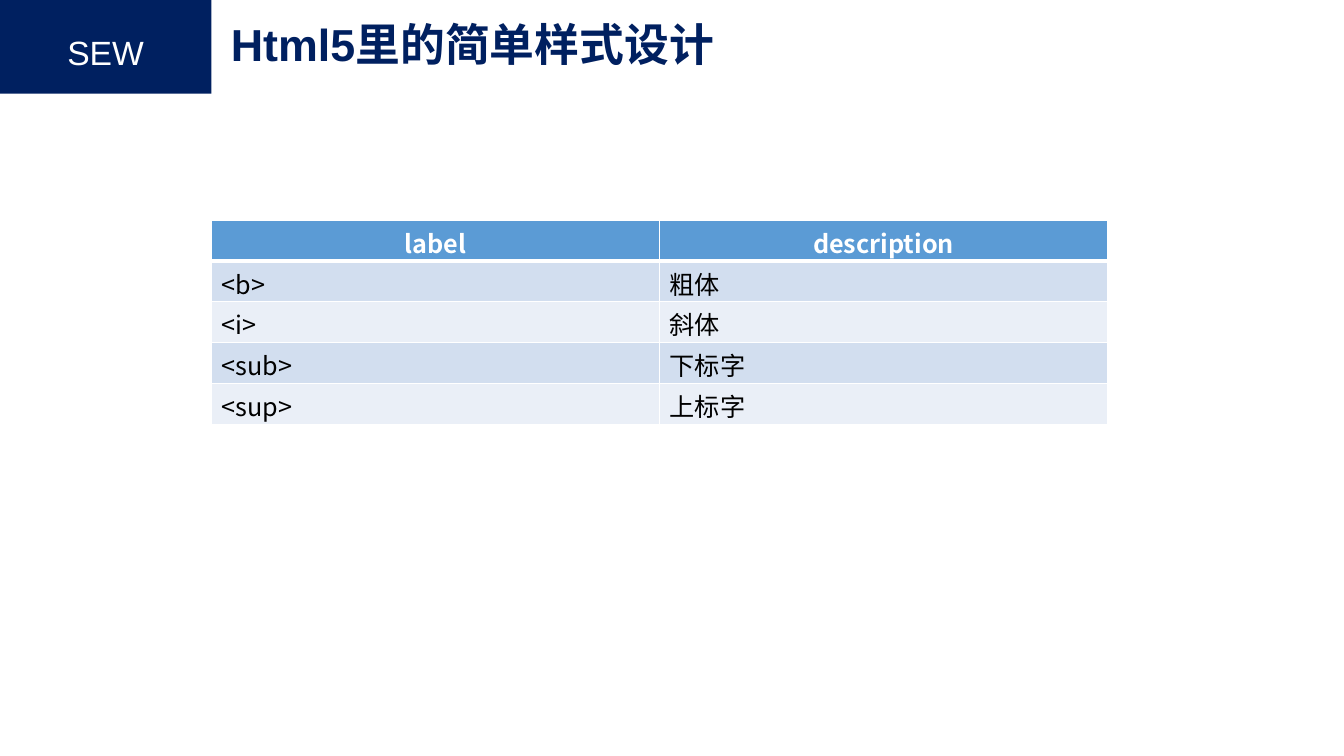
from dataclasses import dataclass

from lxml.etree import SubElement
from pptx import Presentation
from pptx.dml.color import RGBColor
from pptx.enum.shapes import MSO_SHAPE as Shape
from pptx.enum.text import MSO_ANCHOR as Anchor
from pptx.enum.text import MSO_AUTO_SIZE as AutoSize
from pptx.enum.text import PP_ALIGN as Align
from pptx.oxml.ns import qn
from pptx.util import Pt


@dataclass(frozen=True)
class Theme:
    navy: str = "002060"
    white: str = "FFFFFF"
    black: str = "000000"
    header: str = "5B9BD5"
    bands: tuple = ("D2DEEF", "EAEFF7")
    latin: str = "Arial"
    cjk: str = "Noto Sans CJK SC"
    title_size: int = 32
    badge_size: int = 24
    table_size: int = 18


THEME = Theme()
ROWS = [
    ("label", "description"),
    ("<b>", "粗体"),
    ("<i>", "斜体"),
    ("<sub>", "下标字"),
    ("<sup>", "上标字"),
]


def apply(target, values):
    for name, value in values.items():
        setattr(target, name, value)


def place(box, left, top, width, height):
    apply(box, {"left": Pt(left), "top": Pt(top), "width": Pt(width), "height": Pt(height)})


def write(frame, text, size, color, font, bold=False, align=Align.LEFT):
    para = frame.paragraphs[0]
    apply(para, {"alignment": align, "line_spacing": 1.0})
    span = para.add_run()
    span.text = text
    apply(span.font, {"size": Pt(size), "bold": bold, "name": font})
    span.font.color.rgb = RGBColor.from_string(color)
    SubElement(span.font._element, qn("a:ea"), typeface=THEME.cjk)


def add_band(page, left, top, width, height, color):
    band = page.shapes.add_shape(Shape.RECTANGLE, Pt(left), Pt(top), Pt(width), Pt(height))
    band.shadow.inherit = False
    band.fill.solid()
    band.fill.fore_color.rgb = RGBColor.from_string(color)
    band.line.fill.background()


def add_label(page, left, top, width, height, text):
    box = page.shapes.add_textbox(Pt(left), Pt(top), Pt(width), Pt(height))
    apply(box.text_frame, {"word_wrap": False, "auto_size": AutoSize.SHAPE_TO_FIT_TEXT})
    write(box.text_frame, text, THEME.badge_size, THEME.white, THEME.latin)


def set_title(page, left, top, width, height, text):
    title = page.shapes.title
    place(title, left, top, width, height)
    apply(title.text_frame, {
        "word_wrap": True,
        "auto_size": AutoSize.SHAPE_TO_FIT_TEXT,
        "vertical_anchor": Anchor.TOP,
    })
    write(title.text_frame, text, THEME.title_size, THEME.navy, THEME.latin, bold=True)


def set_borders(cell, widths):
    properties = cell._tc.get_or_add_tcPr()
    for side, width in widths.items():
        line = SubElement(properties, qn(f"a:ln{side}"), w=str(Pt(width)))
        fill = SubElement(line, qn("a:solidFill"))
        SubElement(fill, qn("a:srgbClr"), val=THEME.white)


def format_cell(cell, row, text):
    is_header = row == 0
    fill = THEME.header if is_header else THEME.bands[(row - 1) % 2]
    set_borders(cell, {"L": 1, "R": 1, "T": 3 if row == 1 else 1, "B": 3 if is_header else 1})
    cell.fill.solid()
    cell.fill.fore_color.rgb = RGBColor.from_string(fill)
    apply(cell, {"margin_top": Pt(2.8), "margin_bottom": Pt(0)})
    write(
        cell.text_frame, text, THEME.table_size,
        THEME.white if is_header else THEME.black, THEME.cjk,
        bold=is_header, align=Align.CENTER if is_header else Align.LEFT,
    )


def add_grid(page, left, top, width, height, rows):
    frame = page.shapes.add_table(
        len(rows), len(rows[0]), Pt(left), Pt(top), Pt(width), Pt(height)
    )
    for row, texts in enumerate(rows):
        for column, text in enumerate(texts):
            format_cell(frame.table.cell(row, column), row, text)


def main():
    deck = Presentation()
    apply(deck, {"slide_width": Pt(960), "slide_height": Pt(540)})
    page = deck.slides.add_slide(deck.slide_layouts.get_by_name("Title Only"))
    add_band(page, 0, 0, 151, 67, THEME.navy)
    add_label(page, 41, 19, 70, 36, "SEW")
    set_title(page, 157.7, 8, 363, 46, "Html5里的简单样式设计")
    add_grid(page, 151.2, 157.2, 640, 146, ROWS)
    deck.save("out.pptx")


if __name__ == "__main__":
    main()
